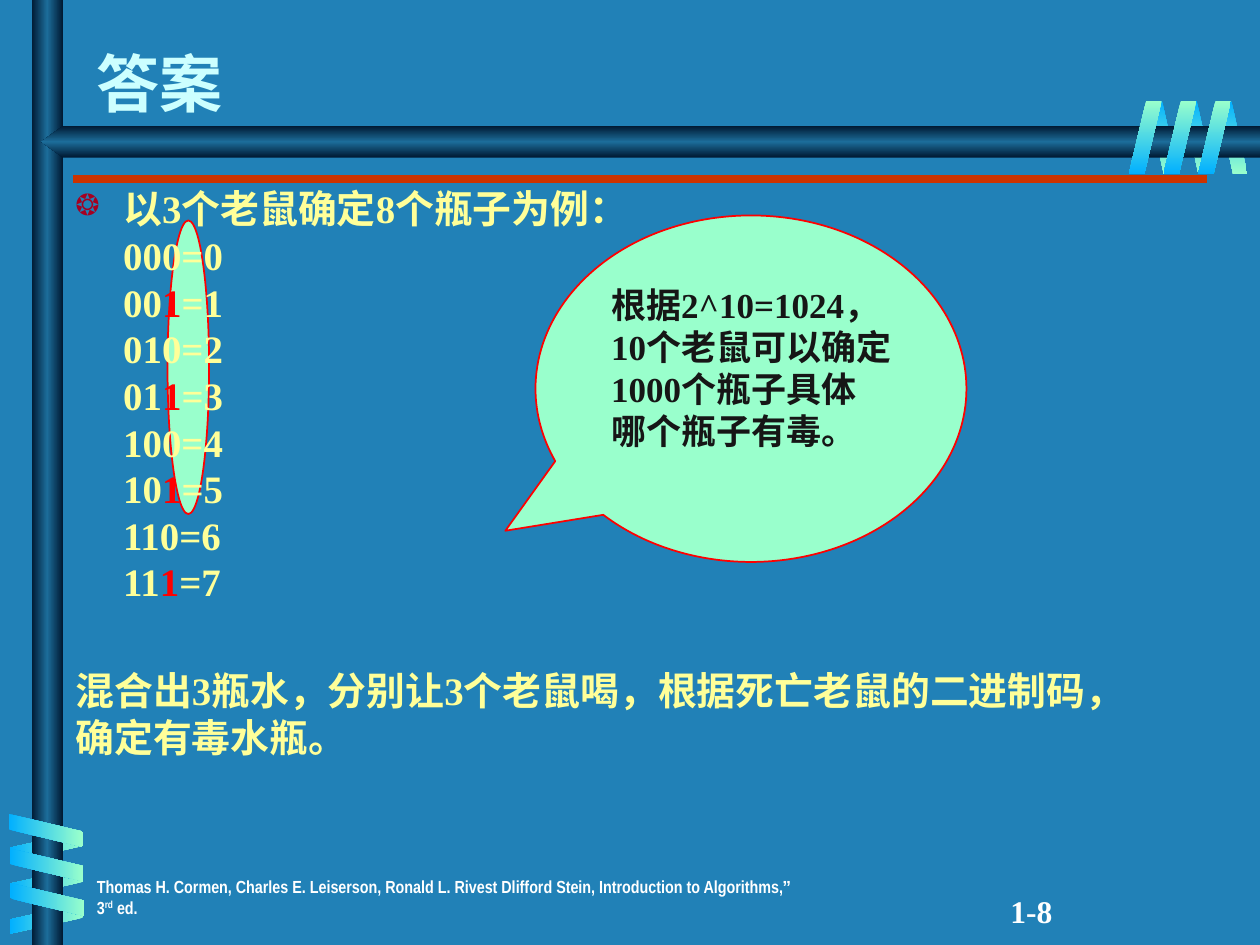
from lxml import etree
from pptx import Presentation
from pptx import oxml
from pptx.dml.color import RGBColor
from pptx.enum import shapes, text
from pptx.oxml import ns
from pptx.util import Inches, Pt

COLORS = {
    "background": "2181B7", "aqua": "99FFCC", "azure": "01B0FF",
    "navy": "001932", "steel": "1C6D9A", "rule": "CC3300",
    "red": "FF0000", "title": "CCFFFF", "body": "FFFF99",
    "bullet": "A50021", "dark": "161616", "white": "FFFFFF",
}
SHAPE = shapes.MSO_SHAPE


def add_shape(kind, box, names, angle=None, rotation=0, flip=False, adjustments=()):
    """Add a shape with a plain fill and red outline, or a gradient if angle is given."""
    shape = slide.shapes.add_shape(kind, *[Inches(value) for value in box])
    shape.shadow.inherit = False
    shape.rotation = rotation
    for index, value in enumerate(adjustments):
        shape.adjustments[index] = value
    if flip:
        shape._element.spPr.find(ns.qn("a:xfrm")).set("flipH", "1")
    if angle is None:
        shape.fill.solid()
        shape.fill.fore_color.rgb = RGBColor.from_string(COLORS[names[0]])
        shape.line.color.rgb = RGBColor.from_string(COLORS["red"])
        shape.line.width = Pt(1)
        return shape
    shape.line.fill.background()
    stops = "".join(
        f'<a:gs pos="{100000 * index // (len(names) - 1)}"><a:srgbClr val="{COLORS[name]}"/></a:gs>'
        for index, name in enumerate(names))
    gradient = oxml.parse_xml(
        f'<a:gradFill {ns.nsdecls("a")} rotWithShape="0"><a:gsLst>{stops}</a:gsLst>'
        f'<a:lin ang="{angle * 60000}" scaled="0"/></a:gradFill>')
    shape._element.spPr.find(ns.qn("a:prstGeom")).addnext(gradient)
    return shape


def add_run(paragraph, content, size, color, name="Times New Roman", superscript=False):
    run = paragraph.add_run()
    run.text = content
    for attribute, value in {"size": Pt(size), "name": name, "bold": True}.items():
        setattr(run.font, attribute, value)
    run.font.color.rgb = RGBColor.from_string(COLORS[color])
    if superscript:
        run.font._element.set("baseline", "30000")


presentation = Presentation()
presentation.slide_width, presentation.slide_height = Inches(10), Inches(7.5)
slide = presentation.slides.add_slide(presentation.slide_layouts[6])
slide.background.fill.solid()
slide.background.fill.fore_color.rgb = RGBColor.from_string(COLORS["background"])

# Coils wrap around two bars: back strips, bars, front strips
cool, warm = ("azure", "aqua"), ("aqua", "azure")
bar = ("navy", "steel", "navy")
for index in range(3):
    add_shape(SHAPE.PARALLELOGRAM, (9.66 - 0.275 * index, 0.8, 0.24, 0.58),
              cool, 90, 180, True, [0.53])
for index in range(3):
    add_shape(SHAPE.PARALLELOGRAM, (0.25, 6.43 + 0.285 * index, 0.24, 0.58),
              warm, 0, 90, True, [0.53])
add_shape(SHAPE.RECTANGLE, (0.25, 0, 0.25, 7.5), bar, 0)
add_shape(SHAPE.PENTAGON, (0.33, 1, 9.67, 0.25), bar, 90, flip=True, adjustments=[0.68])
for index in range(3):
    add_shape(SHAPE.PARALLELOGRAM, (0.23 + 0.01 * index, 6.3 + 0.275 * index, 0.26, 0.58),
              cool, 0, 270, adjustments=[0.53])
for index in range(3):
    add_shape(SHAPE.PARALLELOGRAM, (9.51 - 0.275 * index, 0.8, 0.26, 0.58),
              warm, 90, adjustments=[0.53])

rule = slide.shapes.add_connector(
    shapes.MSO_CONNECTOR.STRAIGHT, Inches(0.58), Inches(1.42), Inches(9.58), Inches(1.42))
rule.line.color.rgb = RGBColor.from_string(COLORS["rule"])
rule.line.width = Pt(4.5)
etree.SubElement(rule._element.spPr, ns.qn("a:effectLst"))

add_shape(SHAPE.OVAL, (1.33, 1.75, 0.33, 2.33), ("aqua",))

# Text boxes
frames = {}
for name, box in {
    "footer": (0.67, 6.9, 5.75, 0.33),
    "title": (0.67, 0.08, 8.5, 0.92),
    "body": (0.5, 1.42, 8.5, 4.5),
    "number": (7.92, 7.03, 2.08, 0.33),
}.items():
    frames[name] = slide.shapes.add_textbox(*[Inches(value) for value in box]).text_frame
    frames[name].word_wrap = True

footer = frames["footer"].paragraphs[0]
add_run(footer, "Thomas H. Cormen, Charles E. Leiserson, Ronald L. Rivest Dlifford Stein, "
        "Introduction to Algorithms,", 10, "white", "Arial Narrow")
add_run(footer, "”", 10, "white", "Arial")
add_run(footer, " 3", 10, "white", "Arial Narrow")
add_run(footer, "rd", 10, "white", "Arial Narrow", superscript=True)
add_run(footer, " ed.", 10, "white", "Arial Narrow")

frames["title"].vertical_anchor = text.MSO_ANCHOR.BOTTOM
add_run(frames["title"].paragraphs[0], "答案", 36, "title")
add_run(frames["number"].paragraphs[0], "1-8", 18, "white")

codes = frames["body"].paragraphs[0]
properties = codes._p.get_or_add_pPr()
properties.set("marL", str(Inches(0.38)))
properties.set("indent", str(Inches(-0.38)))
for element in (
    f'<a:buClr {ns.nsdecls("a")}><a:srgbClr val="{COLORS["bullet"]}"/></a:buClr>',
    f'<a:buSzPct {ns.nsdecls("a")} val="75000"/>',
    f'<a:buChar {ns.nsdecls("a")} char="❂"/>',
):
    properties.append(oxml.parse_xml(element))
add_run(codes, "以3个老鼠确定8个瓶子为例：", 22.2, "body")
for number in range(8):
    codes.add_line_break()
    bits = f"{number:03b}"
    if number % 2:
        add_run(codes, bits[:2], 22.2, "body")
        add_run(codes, bits[2], 22.2, "red")
        add_run(codes, f"={number}", 22.2, "body")
    else:
        add_run(codes, f"{bits}={number}", 22.2, "body")
conclusion = frames["body"].add_paragraph()
conclusion.space_before = Pt(35.5)
add_run(conclusion, "混合出3瓶水，分别让3个老鼠喝，根据死亡老鼠的二进制码，确定有毒水瓶。", 22.2, "body")

callout = add_shape(SHAPE.OVAL_CALLOUT, (4.25, 1.71, 3.42, 2.75), ("aqua",),
                    adjustments=[-0.57, 0.41])
frame = callout.text_frame
frame.word_wrap = False
frame.vertical_anchor = text.MSO_ANCHOR.MIDDLE
frame.margin_bottom = Inches(0.38)
for index, line in enumerate(
        ["根据2^10=1024，", "10个老鼠可以确定", "1000个瓶子具体", "哪个瓶子有毒。"]):
    paragraph = frame.add_paragraph() if index else frame.paragraphs[0]
    paragraph.alignment = text.PP_ALIGN.LEFT
    add_run(paragraph, line, 20, "dark")

presentation.save("out.pptx")
